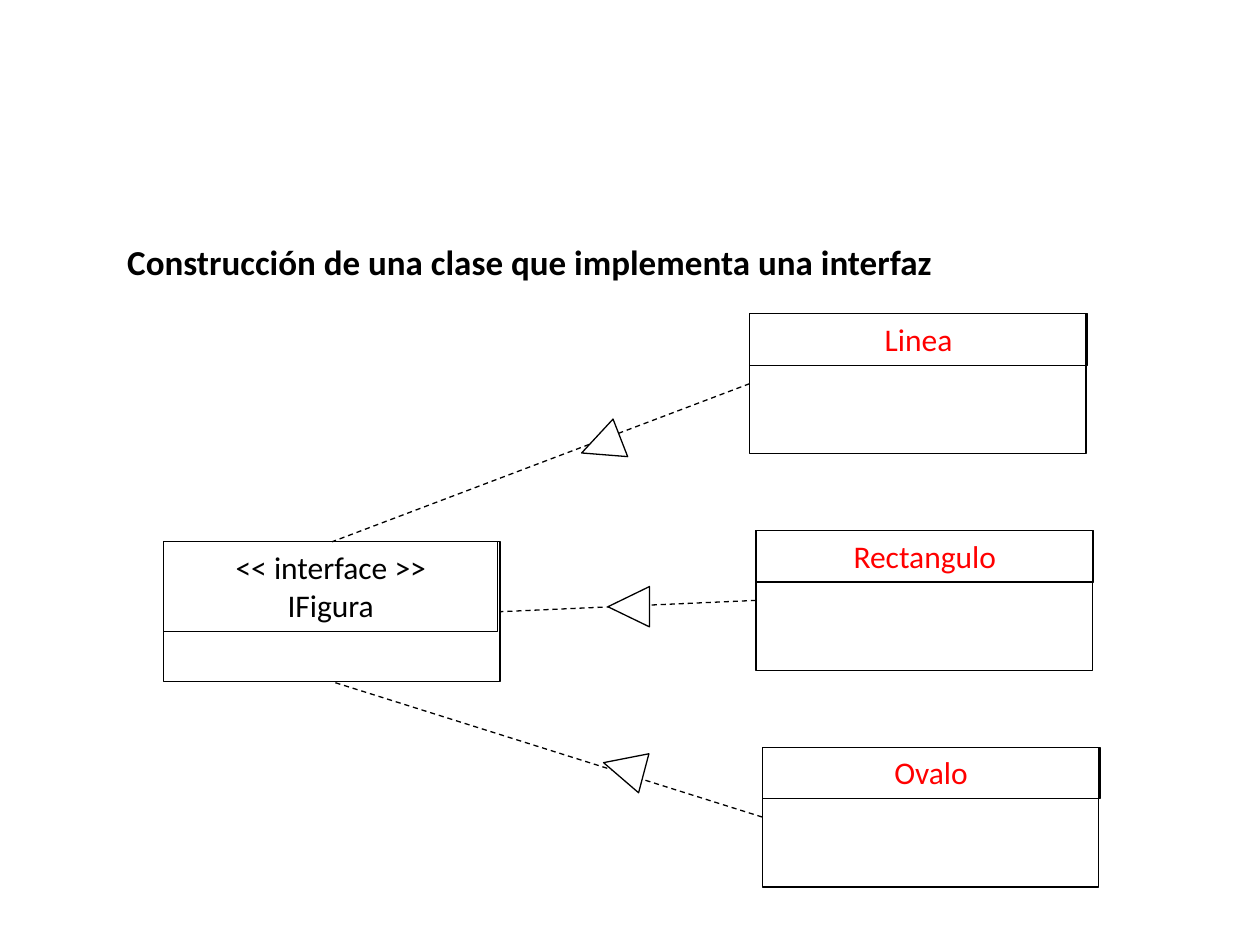
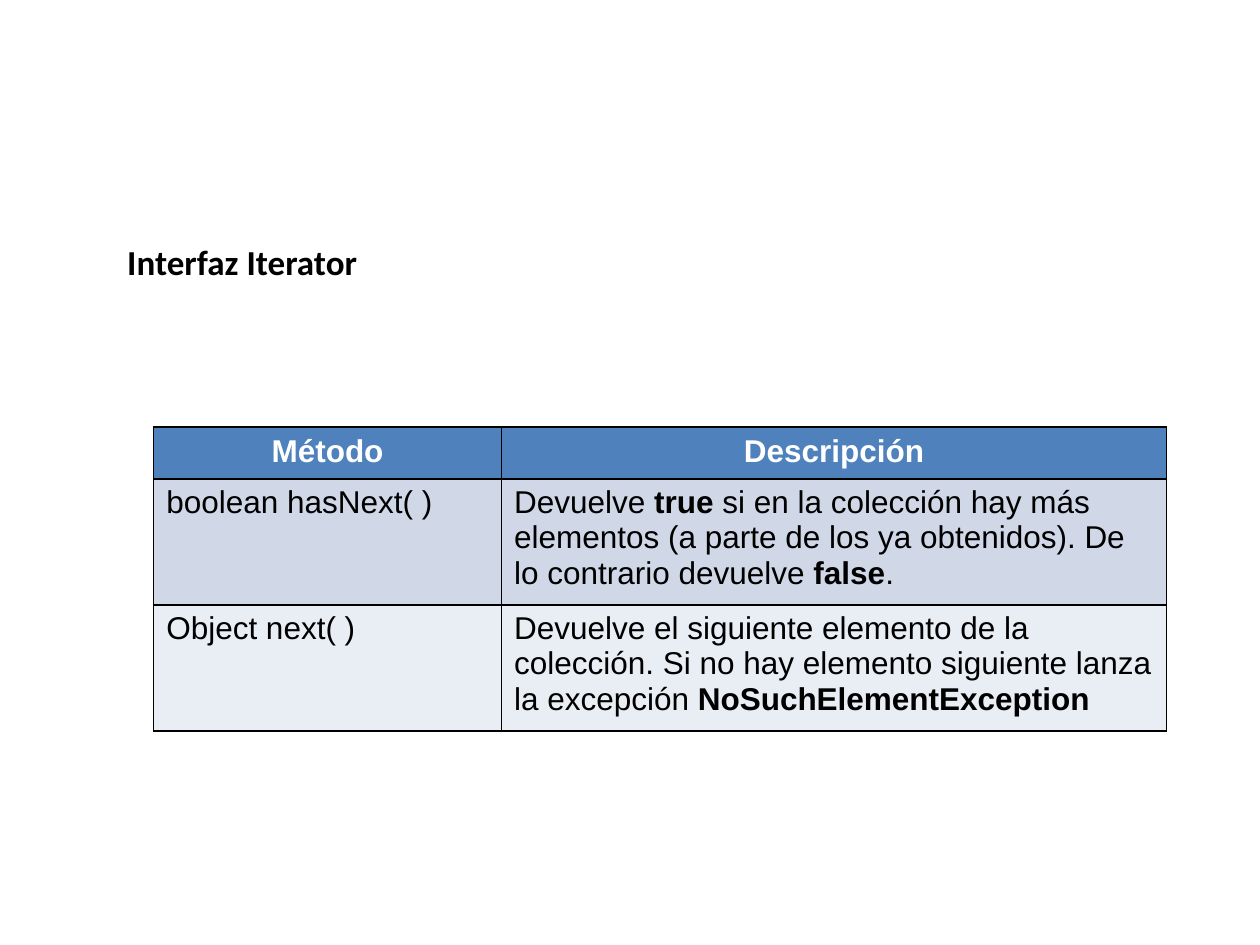
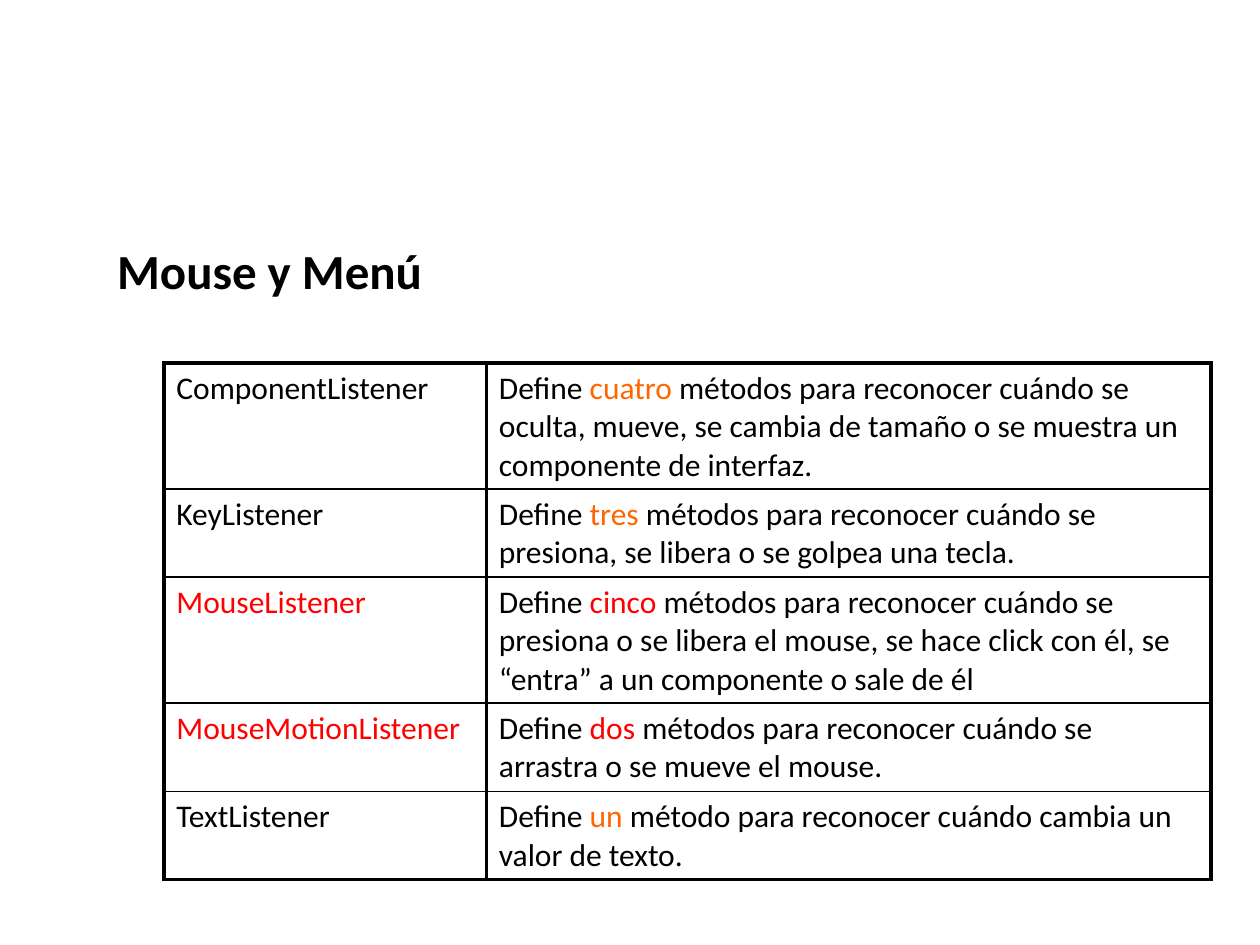
from typing import NamedTuple

from lxml.etree import SubElement
from pptx import Presentation
from pptx.dml.color import RGBColor
from pptx.enum.dml import MSO_LINE
from pptx.enum.shapes import MSO_CONNECTOR, MSO_SHAPE
from pptx.enum.text import MSO_ANCHOR, MSO_AUTO_SIZE, PP_ALIGN
from pptx.oxml.ns import qn
from pptx.util import Inches, Pt

# Shared style
BLACK = RGBColor(0x00, 0x00, 0x00)
WHITE = RGBColor(0xFF, 0xFF, 0xFF)
RED = RGBColor(0xFF, 0x00, 0x00)
ORANGE = RGBColor(0xFF, 0x66, 0x00)
BLUE = RGBColor(0x4F, 0x81, 0xBD)
BAND_DARK = RGBColor(0xD0, 0xD8, 0xE8)
BAND_LIGHT = RGBColor(0xE9, 0xED, 0xF4)
CALIBRI, ARIAL = "Calibri", "Arial"
TEXT_SIZE = 18
TITLE_TOP = 1.86
OUTLINE = Pt(0.75)
THIN, THICK = 1, 2.25


class Run(NamedTuple):
    text: str
    color: RGBColor = BLACK
    bold: bool = False


class ClassBox(NamedTuple):
    names: list[str]
    left: float
    top: float
    header_width: float
    header_height: float
    color: RGBColor


class Triangle(NamedTuple):
    left: float
    top: float
    rotation: float


class TableSpec(NamedTuple):
    left: float
    top: float
    widths: list[float]
    heights: list[float]
    rows: list[list[list[Run]]]
    font: str
    fills: list[RGBColor | None]
    vertical: float
    frame: float
    centred_header: bool = False


def add_runs(p, runs: list[Run], font: str = CALIBRI, size: float = TEXT_SIZE) -> None:
    for run in runs:
        r = p.add_run()
        r.text = run.text
        r.font.name, r.font.size = font, Pt(size)
        r.font.bold = run.bold
        r.font.color.rgb = run.color


def add_slide(prs, title: str, left: float = 0.91, width: float = 8.4,
              height: float = 0.44, size: float = 20):
    s = prs.slides.add_slide(prs.slide_layouts[5])
    sp = s.shapes.title
    sp.left, sp.top = Inches(left), Inches(TITLE_TOP)
    sp.width, sp.height = Inches(width), Inches(height)
    tf = sp.text_frame
    tf.word_wrap = True
    tf.auto_size = MSO_AUTO_SIZE.SHAPE_TO_FIT_TEXT
    tf.vertical_anchor = MSO_ANCHOR.TOP
    p = tf.paragraphs[0]
    p.alignment = PP_ALIGN.LEFT
    add_runs(p, [Run(title, bold=True)], size=size)
    return s


# Class diagram parts
def add_outlined(s, kind: MSO_SHAPE, left: float, top: float, width: float, height: float):
    sp = s.shapes.add_shape(kind, Inches(left), Inches(top), Inches(width), Inches(height))
    sp.shadow.inherit = False
    sp.fill.background()
    sp.line.color.rgb = BLACK
    sp.line.width = OUTLINE
    return sp


def add_class(s, box: ClassBox):
    body = add_outlined(s, MSO_SHAPE.RECTANGLE, box.left, box.top, 2.67, 1.11)
    header = add_outlined(s, MSO_SHAPE.RECTANGLE, box.left, box.top,
                          box.header_width, box.header_height)
    tf = header.text_frame
    tf.word_wrap = True
    tf.vertical_anchor = MSO_ANCHOR.TOP
    for i, name in enumerate(box.names):
        p = tf.add_paragraph() if i else tf.paragraphs[0]
        p.alignment = PP_ALIGN.CENTER
        add_runs(p, [Run(name, box.color)])
    return body


def add_realization(s, child, parent, parent_side: int) -> None:
    line = s.shapes.add_connector(MSO_CONNECTOR.STRAIGHT, 0, 0, 0, 0)
    line.begin_connect(child, 1)
    line.end_connect(parent, parent_side)
    line.line.color.rgb = BLACK
    line.line.width = OUTLINE
    line.line.dash_style = MSO_LINE.DASH
    SubElement(line.element.spPr, qn("a:effectLst"))


def add_triangle(s, tri: Triangle) -> None:
    sp = add_outlined(s, MSO_SHAPE.ISOSCELES_TRIANGLE, tri.left, tri.top, 0.32, 0.33)
    sp.rotation = tri.rotation
    sp.fill.solid()
    sp.fill.fore_color.rgb = WHITE


# Table parts
def set_borders(cell, widths: dict[str, float]) -> None:
    tc_pr = cell._tc.get_or_add_tcPr()
    for side, width in widths.items():
        ln = SubElement(tc_pr, qn(f"a:ln{side}"), w=str(Pt(width)))
        fill = SubElement(ln, qn("a:solidFill"))
        SubElement(fill, qn("a:srgbClr"), val=str(BLACK))


def add_table(s, spec: TableSpec) -> None:
    frame = s.shapes.add_table(len(spec.heights), len(spec.widths), Inches(spec.left),
                               Inches(spec.top), Inches(sum(spec.widths)),
                               Inches(sum(spec.heights)))
    table = frame.table
    table.first_row = table.horz_banding = False
    for col, width in zip(table.columns, spec.widths):
        col.width = Inches(width)
    last = len(spec.rows) - 1
    for i, (row, height) in enumerate(zip(spec.rows, spec.heights)):
        table.rows[i].height = Inches(height)
        for j, runs in enumerate(row):
            cell = table.cell(i, j)
            set_borders(cell, {"L": spec.vertical, "R": spec.vertical,
                               "T": spec.frame if i == 0 else THIN,
                               "B": spec.frame if i == last else THIN})
            if spec.fills[i] is None:
                cell.fill.background()
            else:
                cell.fill.solid()
                cell.fill.fore_color.rgb = spec.fills[i]
            p = cell.text_frame.paragraphs[0]
            if spec.centred_header and i == 0:
                p.alignment = PP_ALIGN.CENTER
            add_runs(p, runs, spec.font)


def build_class_slide(prs) -> None:
    s = add_slide(prs, "Construcción de una clase que implementa una interfaz")
    interface = add_class(s, ClassBox(["<< interface >>", "IFigura"], 1.3, 4.3, 2.65, 0.71, BLACK))
    figures = [add_class(s, ClassBox([name], 5.95 + 0.05 * i, 2.49 + 1.72 * i, 2.68, 0.41, RED))
               for i, name in enumerate(["Linea", "Rectangulo", "Ovalo"])]
    for figure, side in zip(figures, (0, 3, 2)):
        add_realization(s, figure, interface, side)
    for tri in (Triangle(4.79, 5.93, 284.8), Triangle(4.83, 4.65, 270),
                Triangle(4.61, 3.37, 248.7)):
        add_triangle(s, tri)


def build_iterator_slide(prs) -> None:
    s = add_slide(prs, "Interfaz Iterator")
    rows = [
        [[Run("Método", WHITE, True)], [Run("Descripción", WHITE, True)]],
        [[Run("boolean hasNext( )")],
         [Run("Devuelve "), Run("true", bold=True),
          Run(" si en la colección hay más elementos (a parte de los ya obtenidos). "
              "De lo contrario devuelve "),
          Run("false", bold=True), Run(".")]],
        [[Run("Object next( )")],
         [Run("Devuelve el siguiente elemento de la colección. Si no hay elemento "
              "siguiente lanza la excepción "),
          Run("NoSuchElementException", bold=True)]],
    ]
    add_table(s, TableSpec(1.22, 3.39, [2.76, 5.28], [0.41, 1, 1], rows, ARIAL,
                           [BLUE, BAND_DARK, BAND_LIGHT], THIN, THIN, centred_header=True))


def build_listener_slide(prs) -> None:
    s = add_slide(prs, "Mouse y Menú", left=0.83, width=6.3, height=0.57, size=28)
    listeners = [
        ("ComponentListener", BLACK, "cuatro", ORANGE,
         " métodos para reconocer cuándo se oculta, mueve, se cambia de tamaño "
         "o se muestra un componente de interfaz."),
        ("KeyListener", BLACK, "tres", ORANGE,
         " métodos para reconocer cuándo se presiona, se libera o se golpea una tecla."),
        ("MouseListener", RED, "cinco", RED,
         " métodos para reconocer cuándo se presiona o se libera el mouse, "
         "se hace click con él, se “entra” a un componente o sale de él"),
        ("MouseMotionListener", RED, "dos", RED,
         " métodos para reconocer cuándo se arrastra o se mueve el mouse."),
        ("TextListener", BLACK, "un", ORANGE,
         " método para reconocer cuándo cambia un valor de texto."),
    ]
    rows = [[[Run(name, name_color)], [Run("Define "), Run(count, count_color), Run(rest)]]
            for name, name_color, count, count_color, rest in listeners]
    add_table(s, TableSpec(1.3, 2.88, [2.56, 5.75], [1, 0.7, 1, 0.7, 0.7], rows, CALIBRI,
                           [None] * len(rows), THICK, THICK))


def main() -> None:
    prs = Presentation()
    prs.slide_width, prs.slide_height = Inches(10), Inches(7.5)
    build_class_slide(prs)
    build_iterator_slide(prs)
    build_listener_slide(prs)
    prs.save("out.pptx")


if __name__ == "__main__":
    main()
